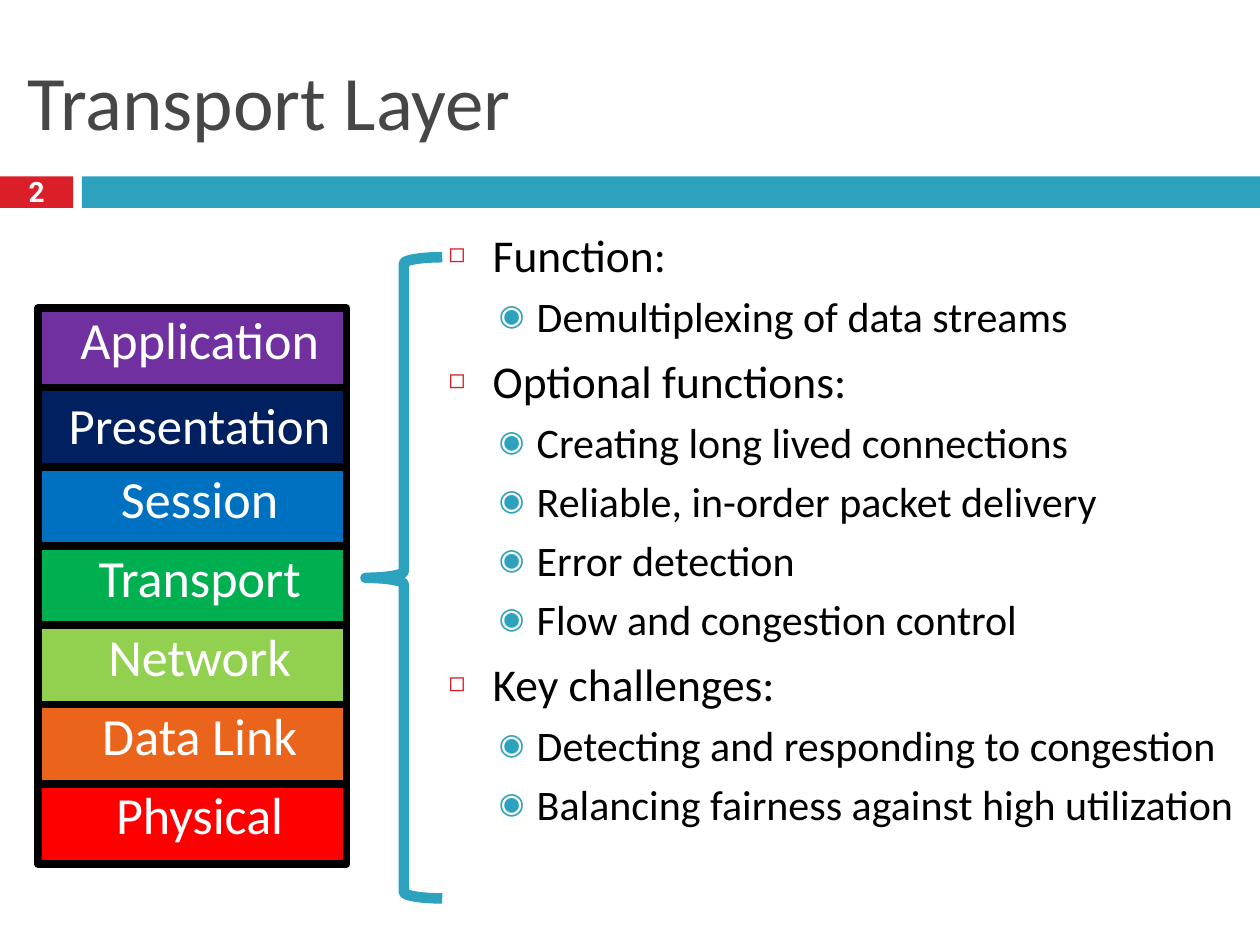
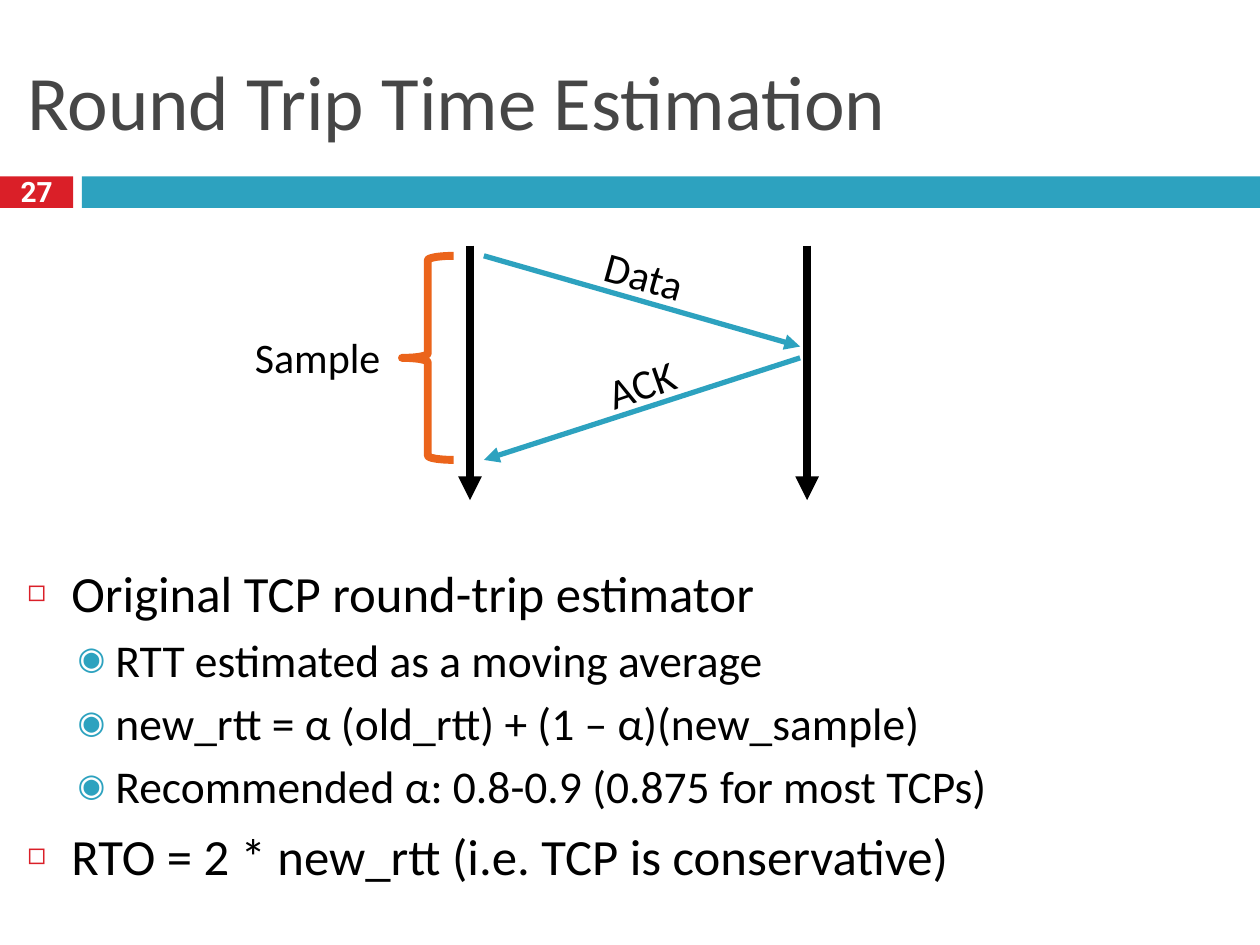
from lxml.etree import SubElement
from pptx import Presentation
from pptx.dml.color import RGBColor
from pptx.enum.shapes import MSO_CONNECTOR as Connector, MSO_SHAPE as Preset
from pptx.enum.text import MSO_ANCHOR as Anchor, MSO_AUTO_SIZE as AutoSize, PP_ALIGN as Align
from pptx.oxml.ns import qn
from pptx.util import Pt

RED, TEAL, ORANGE = "DA1F28", "2DA2BF", "EB641B"
BLACK, WHITE, GRAY = "000000", "FFFFFF", "464646"


def color(value):
    return RGBColor.from_string(value)


class Deck:
    font = "Calibri"
    inset = 3.6
    bullets = [("◻", RED, 60, 25.2, -25.2, 7), ("◉", TEAL, 70, 50.4, -21.6, 5)]

    def __init__(self):
        self.presentation = Presentation()
        self.presentation.slide_width = Pt(720)
        self.presentation.slide_height = Pt(540)
        self.slide = None

    def new_slide(self, title, number):
        layout = self.presentation.slide_layouts[1]
        self.slide = self.presentation.slides.add_slide(layout)
        self.box(0, 100.8, 41.8, 18, RED)
        self.box(46.8, 100.8, 673.2, 18, TEAL)
        self.label(number, 0, 98.6, 41.8, 25.2, 16, WHITE, "Roboto", True, 0.8)
        shape = self.slide.shapes.title
        self.place(shape, 12, 18, 696, 78)
        frame = self.frame(shape, Anchor.MIDDLE)
        self.add_text(frame.paragraphs[0], title, 44, GRAY, Align.LEFT)

    def place(self, shape, left, top, width, height):
        shape.left, shape.top = Pt(left), Pt(top)
        shape.width, shape.height = Pt(width), Pt(height)

    def frame(self, shape, anchor=Anchor.TOP):
        frame = shape.text_frame
        frame.auto_size = AutoSize.NONE
        frame.word_wrap = True
        frame.vertical_anchor = anchor
        frame.margin_left = frame.margin_right = Pt(self.inset)
        frame.margin_top = frame.margin_bottom = Pt(self.inset)
        return frame

    def add_text(self, paragraph, text, size, ink, align, font=None, bold=False, spacing=1.0):
        paragraph.alignment = align
        paragraph.line_spacing = spacing
        run = paragraph.add_run()
        run.text = text
        run.font.name = font or self.font
        run.font.size = Pt(size)
        run.font.bold = bold
        run.font.color.rgb = color(ink)

    def box(self, left, top, width, height, fill, border=None):
        shape = self.slide.shapes.add_shape(
            Preset.RECTANGLE, Pt(left), Pt(top), Pt(width), Pt(height))
        shape.shadow.inherit = False
        shape.fill.solid()
        shape.fill.fore_color.rgb = color(fill)
        if border:
            shape.line.color.rgb = color(BLACK)
            shape.line.width = Pt(border)
        else:
            shape.line.fill.background()
        return shape

    def layer(self, name, left, top, width, height, fill, size, spacing):
        frame = self.frame(self.box(left, top, width, height, fill, 4.5))
        paragraph = frame.paragraphs[0]
        paragraph_format = paragraph._p.get_or_add_pPr()
        paragraph_format.set("indent", str(Pt(8.6)))
        self.add_text(paragraph, name, size, WHITE, Align.CENTER, spacing=spacing)

    def label(self, text, left, top, width, height, size=24, ink=BLACK,
              font=None, bold=False, spacing=1.0, rotation=0):
        shape = self.slide.shapes.add_textbox(Pt(left), Pt(top), Pt(width), Pt(height))
        shape.rotation = rotation
        frame = self.frame(shape, Anchor.MIDDLE)
        self.add_text(frame.paragraphs[0], text, size, ink, Align.CENTER, font, bold, spacing)

    def outline(self, left, top, width, height, sizes, items):
        shape = self.slide.placeholders[1]
        self.place(shape, left, top, width, height)
        frame = self.frame(shape)
        for index, (level, text) in enumerate(items):
            paragraph = frame.paragraphs[0] if index == 0 else frame.add_paragraph()
            space = self.bullet(paragraph, level)
            paragraph.space_before = Pt(space if index else 0)
            self.add_text(paragraph, text, sizes[level], BLACK, Align.LEFT)

    def bullet(self, paragraph, level):
        symbol, ink, percent, margin, indent, space = self.bullets[level]
        paragraph.level = level
        paragraph_format = paragraph._p.get_or_add_pPr()
        paragraph_format.set("marL", str(Pt(margin)))
        paragraph_format.set("indent", str(Pt(indent)))
        bullet_color = SubElement(paragraph_format, qn("a:buClr"))
        SubElement(bullet_color, qn("a:srgbClr"), val=ink)
        SubElement(paragraph_format, qn("a:buSzPct"), val=str(percent * 1000))
        SubElement(paragraph_format, qn("a:buChar"), char=symbol)
        return space

    def brace(self, left, top, width, height, ink, weight):
        shape = self.slide.shapes.add_shape(
            Preset.LEFT_BRACE, Pt(left), Pt(top), Pt(width), Pt(height))
        shape.shadow.inherit = False
        shape.fill.background()
        shape.line.color.rgb = color(ink)
        shape.line.width = Pt(weight)

    def arrow(self, start, end, ink, weight):
        connector = self.slide.shapes.add_connector(
            Connector.STRAIGHT, *(Pt(value) for value in start + end))
        connector.line.color.rgb = color(ink)
        connector.line.width = Pt(weight)
        properties = connector.element.spPr
        SubElement(properties.find(qn("a:ln")), qn("a:tailEnd"), type="triangle")
        SubElement(properties, qn("a:effectLst"))


def transport_layer(deck):
    deck.new_slide("Transport Layer", "2")
    deck.outline(252.7, 126, 467.3, 401.8, (26, 24), [
        (0, "Function:"),
        (1, "Demultiplexing of data streams"),
        (0, "Optional functions:"),
        (1, "Creating long lived connections"),
        (1, "Reliable, in-order packet delivery"),
        (1, "Error detection"),
        (1, "Flow and congestion control"),
        (0, "Key challenges:"),
        (1, "Detecting and responding to congestion"),
        (1, "Balancing fairness against high utilization"),
    ])
    layers = [
        ("Application", "7030A0", 29.8, 0.9),
        ("Presentation", "002060", 29, 1.0),
        ("Session", "0070C0", 29.8, 0.9),
        ("Transport", "00B050", 29.8, 0.9),
        ("Network", "92D050", 29.8, 0.9),
        ("Data Link", ORANGE, 29.8, 0.9),
        ("Physical", "FF0000", 29.8, 0.9),
    ]
    for row, (name, fill, size, spacing) in enumerate(layers):
        deck.layer(name, 21.6, 176.2 + row * 45.28, 176.4, 45.8, fill, size, spacing)
    deck.brace(208.8, 147, 43.9, 366.4, TEAL, 6)


def round_trip_time(deck):
    deck.new_slide("Round Trip Time Estimation", "27")
    deck.outline(12, 317.5, 696, 211, (29, 26), [
        (0, "Original TCP round-trip estimator"),
        (1, "RTT estimated as a moving average"),
        (1, "new_rtt = α (old_rtt) + (1 – α)(new_sample)"),
        (1, "Recommended α: 0.8-0.9 (0.875 for most TCPs)"),
        (0, "RTO = 2 * new_rtt (i.e. TCP is conservative)"),
    ])
    for timeline in (268.6, 461.2):
        deck.arrow((timeline, 140.4), (timeline, 285.8), BLACK, 4.5)
    deck.arrow((276.5, 146.2), (457.2, 198), TEAL, 3)
    deck.label("Data", 289.4, 139.7, 157.7, 34.6, rotation=15.6)
    deck.arrow((457.2, 204.5), (276.5, 262.8), TEAL, 3)
    deck.label("ACK", 324.7, 201.6, 83.5, 34.6, rotation=341)
    deck.brace(229.7, 146.2, 29.5, 116.6, ORANGE, 4.5)
    deck.label("Sample", 128.2, 186.5, 106.6, 34.6)


def main():
    deck = Deck()
    transport_layer(deck)
    round_trip_time(deck)
    deck.presentation.save("out.pptx")


if __name__ == "__main__":
    main()
